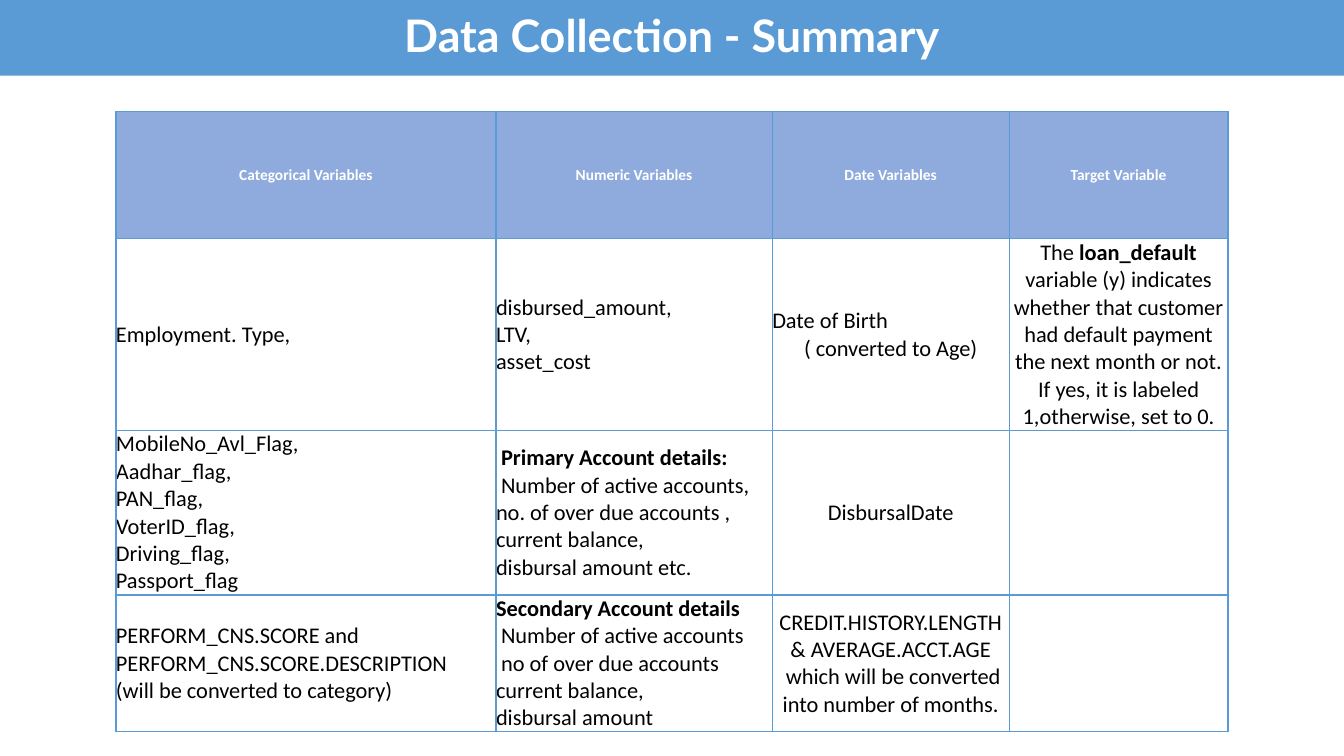
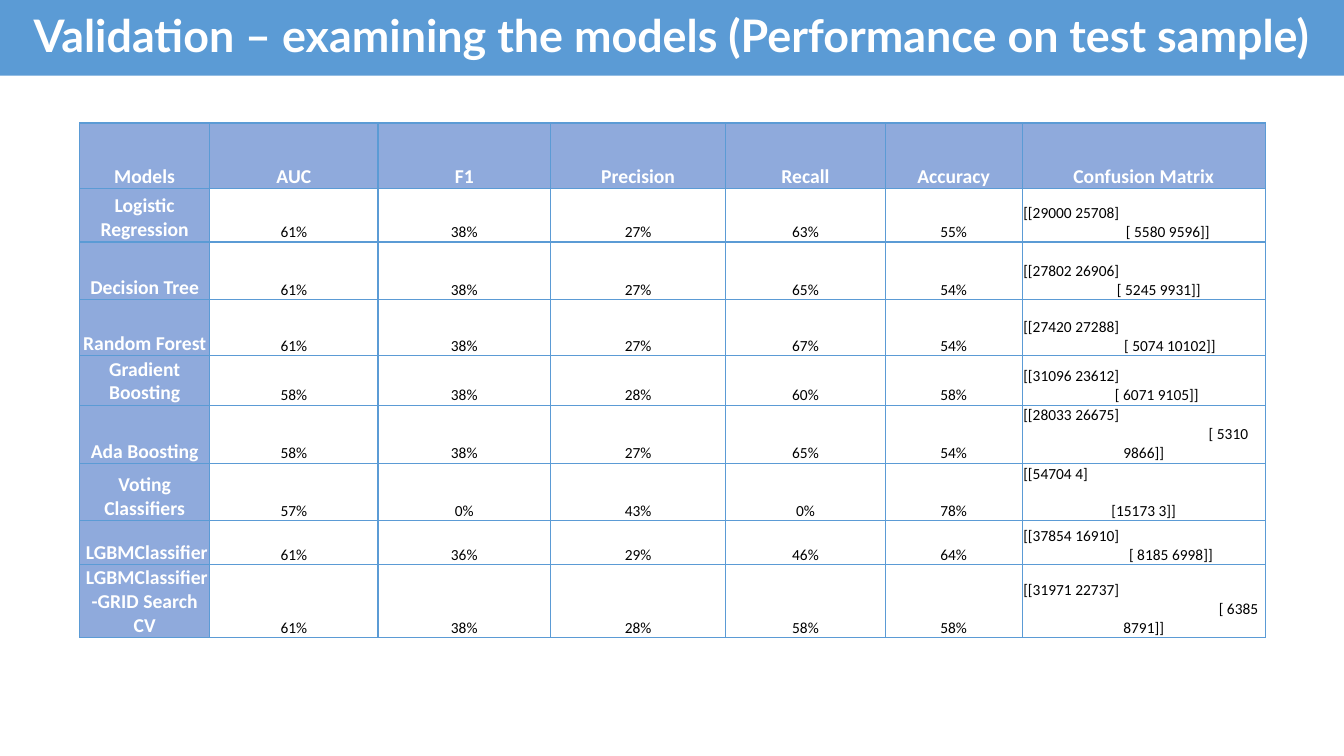
from dataclasses import dataclass

from lxml.etree import SubElement
from pptx import Presentation
from pptx.dml.color import RGBColor
from pptx.enum.shapes import MSO_SHAPE
from pptx.enum.text import MSO_ANCHOR, PP_ALIGN
from pptx.oxml.ns import qn
from pptx.util import Emu, Pt


@dataclass(frozen=True)
class Theme:
    blue: str = "5B9BD5"
    header: str = "8FAADC"
    white: str = "FFFFFF"
    black: str = "000000"
    title_font: str = "Lato"
    table_font: str = "Calibri"
    title: int = 32
    body: int = 16
    label: int = 14
    small: int = 11
    border: int = 1


@dataclass(frozen=True)
class Line:
    """One paragraph; **double stars** mark its bold words."""
    text: str
    align: PP_ALIGN = PP_ALIGN.CENTER
    indent: int = 0
    before: int = 0


THEME = Theme()
LEFT = PP_ALIGN.LEFT

VARIABLE_HEADS = ["Categorical Variables", "Numeric Variables", "Date Variables", "Target Variable"]
VARIABLES = [
    (
        ["Employment. Type,"],
        ["disbursed_amount,", "LTV,", "asset_cost"],
        [Line("Date of Birth", LEFT), Line("( converted to Age)")],
        [Line("The **loan_default **variable (y) indicates whether that customer had default "
              "payment the next month or not. If yes, it is labeled 1,otherwise, set to 0.")],
    ),
    (
        ["MobileNo_Avl_Flag,", "Aadhar_flag,", "PAN_flag,", "VoterID_flag,",
         "Driving_flag,", "Passport_flag"],
        [" **Primary Account details:**", " Number of active accounts,",
         "no. of over due accounts ,", "current balance,", "disbursal amount etc."],
        [Line("DisbursalDate")],
        [],
    ),
    (
        ["PERFORM_CNS.SCORE and PERFORM_CNS.SCORE.DESCRIPTION", "(will be converted to category)"],
        ["**Secondary Account details**", " Number of active accounts",
         " no of over due accounts", "current balance,", "disbursal amount"],
        [Line("CREDIT.HISTORY.LENGTH & AVERAGE.ACCT.AGE"),
         Line(" which will be converted into number of months.")],
        [],
    ),
]

MODEL_HEADS = ["Models", "AUC", "F1", "Precision", "Recall", "Accuracy", "Confusion Matrix"]
# model, percentages, first matrix row, second matrix row
MODELS = [
    ("Logistic Regression", (61, 38, 27, 63, 55), "[[29000 25708]", Line("[ 5580 9596]]", indent=48)),
    ("Decision Tree", (61, 38, 27, 65, 54), "[[27802 26906]", Line("[ 5245 9931]]", indent=30)),
    ("Random Forest", (61, 38, 27, 67, 54), "[[27420 27288]", Line("[ 5074 10102]]", indent=52)),
    ("Gradient Boosting", (58, 38, 28, 60, 58), "[[31096 23612]", Line("[ 6071 9105]]", indent=26)),
    ("Ada Boosting", (58, 38, 27, 65, 54), "[[28033 26675]", Line("[ 5310 9866]]", indent=168)),
    ("Voting Classifiers", (57, 0, 43, 0, 78), "[[54704 4]", Line("[15173 3]]", before=13)),
    (" LGBMClassifier", (61, 36, 29, 46, 64), "[[37854 16910]", Line("[ 8185 6998]]", indent=54)),
    (" LGBMClassifier -GRID Search CV", (61, 38, 28, 58, 58), "[[31971 22737]",
     Line("[ 6385 8791]]", indent=188)),
]


def px(n):
    return Emu(n * 9144)


def rgb(color):
    return RGBColor.from_string(color)


def set_attrs(obj, **values):
    for name, value in values.items():
        setattr(obj, name, value)


def add_run(p, text, size, color, bold, font=THEME.table_font):
    r = p.add_run()
    r.text = text
    set_attrs(r.font, name=font, size=Pt(size), bold=bold)
    r.font.color.rgb = rgb(color)


def add_title_band(slide, text):
    sp = slide.shapes.add_shape(MSO_SHAPE.RECTANGLE, px(-4), px(0), px(1341), px(75))
    sp.shadow.inherit = False
    sp.fill.solid()
    sp.fill.fore_color.rgb = rgb(THEME.blue)
    sp.line.fill.background()
    set_attrs(sp.text_frame, word_wrap=True, vertical_anchor=MSO_ANCHOR.MIDDLE)
    p = sp.text_frame.paragraphs[0]
    set_attrs(p, alignment=PP_ALIGN.CENTER, line_spacing=0.9)
    add_run(p, text, THEME.title, THEME.white, True, THEME.title_font)


def set_borders(cell):
    tc_pr = cell._tc.get_or_add_tcPr()
    for side in ("a:lnL", "a:lnR", "a:lnT", "a:lnB"):
        ln = SubElement(tc_pr, qn(side), w=str(Pt(THEME.border)))
        SubElement(SubElement(ln, qn("a:solidFill")), qn("a:srgbClr"), val=THEME.blue)


def fill_cell(cell, lines, size, style, head=False):
    """Write the lines into a cell, white and bold on blue if it is a head."""
    set_attrs(cell, **style)
    set_borders(cell)
    if head:
        cell.fill.solid()
        cell.fill.fore_color.rgb = rgb(THEME.header)
    else:
        cell.fill.background()
    color = THEME.white if head else THEME.black
    tf = cell.text_frame
    for i, line in enumerate(lines):
        p = tf.add_paragraph() if i else tf.paragraphs[0]
        set_attrs(p, alignment=line.align, space_before=Pt(line.before))
        if line.indent:
            p_pr = p._p.get_or_add_pPr()
            p_pr.set("marL", "0")
            p_pr.set("indent", str(px(line.indent)))
        for j, part in enumerate(line.text.split("**")):
            if part:
                add_run(p, part, size, color, head or j % 2 == 1)


def cell_style(anchor, side, bottom):
    margins = dict.fromkeys(("margin_left", "margin_right", "margin_top"), px(side))
    return {"vertical_anchor": anchor, "margin_bottom": px(bottom), **margins}


def add_grid(slide, left, top, widths, heights):
    table = slide.shapes.add_table(len(heights), len(widths), px(left), px(top),
                                   px(sum(widths)), px(sum(heights))).table
    set_attrs(table, first_row=False, horz_banding=False)
    for column, width in zip(table.columns, widths):
        column.width = px(width)
    for row, height in zip(table.rows, heights):
        row.height = px(height)
    return table


def add_variables_table(slide):
    table = add_grid(slide, 115, 111, [377, 274, 235, 217], [126, 169, 145, 121])
    style = cell_style(MSO_ANCHOR.MIDDLE, 0, 0)
    for c, head in enumerate(VARIABLE_HEADS):
        fill_cell(table.cell(0, c), [Line(head)], THEME.small, style, head=True)
    for r, row in enumerate(VARIABLES, 1):
        for c, content in enumerate(row):
            lines = [Line(x, LEFT) if isinstance(x, str) else x for x in content]
            fill_cell(table.cell(r, c), lines, THEME.body, style)


def add_models_table(slide):
    table = add_grid(slide, 79, 122, [129, 167, 171, 174, 158, 136, 241],
                     [65, 53, 57, 56, 49, 55, 55, 44, 52])
    style = cell_style(MSO_ANCHOR.BOTTOM, 1, 0)
    for c, head in enumerate(MODEL_HEADS):
        fill_cell(table.cell(0, c), [Line(head)], THEME.label, style, head=True)
    for r, (model, scores, first, second) in enumerate(MODELS, 1):
        fill_cell(table.cell(r, 0), [Line(model)], THEME.label, style, head=True)
        contents = [[Line(f"{score}%")] for score in scores] + [[Line(first, LEFT), second]]
        for c, lines in enumerate(contents, 1):
            fill_cell(table.cell(r, c), lines, THEME.small, style)


def main():
    prs = Presentation()
    set_attrs(prs, slide_width=px(1333), slide_height=px(750))
    for title, add_table in (
        ("Data Collection - Summary", add_variables_table),
        ("Validation – examining the models (Performance on test sample)", add_models_table),
    ):
        slide = prs.slides.add_slide(prs.slide_layouts[6])
        add_title_band(slide, title)
        add_table(slide)
    prs.save("out.pptx")


if __name__ == "__main__":
    main()
